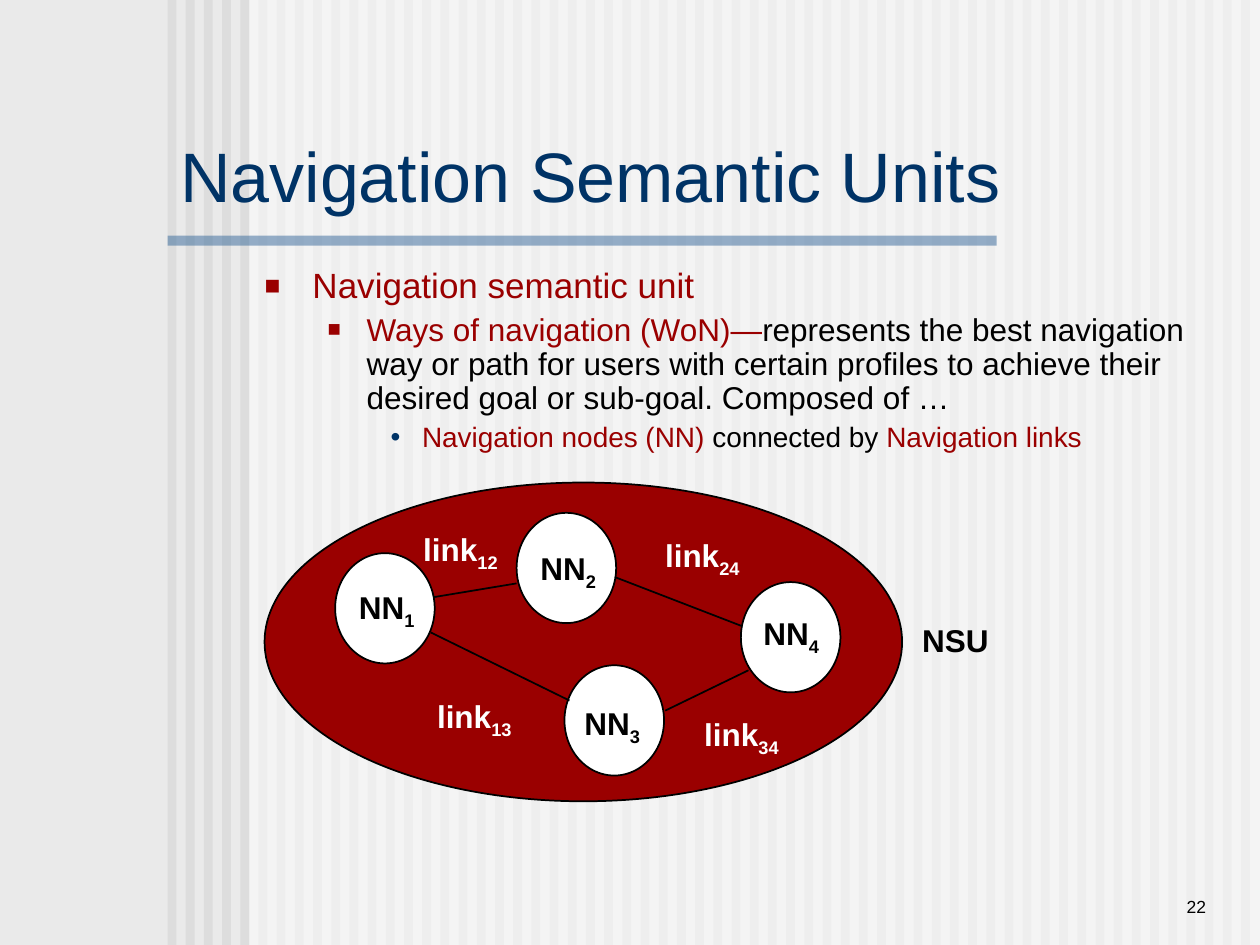
from lxml.etree import SubElement
from pptx import Presentation
from pptx.dml.color import RGBColor
from pptx.enum.shapes import MSO_CONNECTOR, MSO_SHAPE
from pptx.enum.text import MSO_ANCHOR, MSO_AUTO_SIZE, PP_ALIGN
from pptx.oxml.ns import qn
from pptx.util import Inches, Pt

COLUMNS, ROWS = 100, 75
CELL = Inches(0.1)
FONT = "Arial"

BLACK = RGBColor(0x00, 0x00, 0x00)
WHITE = RGBColor(0xFF, 0xFF, 0xFF)
PAPER = RGBColor(0xEA, 0xEA, 0xEA)
STRIPE = RGBColor(0xDD, 0xDD, 0xDD)
NAVY = RGBColor(0x00, 0x33, 0x66)
BLUE = RGBColor(0x33, 0x66, 0x99)
RED = RGBColor(0x9A, 0x00, 0x00)

STRIPE_COUNT, STRIPE_START, STRIPE_END, STRIPE_WIDTH = 60, 13.3, 98.5, 0.7
NODE_SIZE = (7.9, 8.75)

NODES = [
    ("1", (26.6, 43.9), (27.5, 46.2)),
    ("2", (41, 40.7), (41.9, 43.1)),
    ("3", (44.8, 52.8), (45.4, 55.4)),
    ("4", (58.8, 46.2), (59.6, 48.3)),
]
LINKS = [
    ("12", (34.4, 47.4), (41, 46.3), (32.6, 41.6)),
    ("13", (34.2, 50.2), (45.2, 55.6), (33.7, 54.9)),
    ("24", (48.8, 45.8), (58.9, 49.7), (51.8, 42.1)),
    ("34", (52.8, 56.4), (59.4, 53.2), (54.9, 56.3)),
]
LEVELS = [
    {"size": 20, "before": 5, "margin": 0.38, "hang": 0.38, "bullet": "■", "color": RED, "scale": 75},
    {"size": 18, "before": 4.5, "margin": 0.81, "hang": 0.31, "bullet": "■", "color": RED, "scale": 70},
    {"size": 16, "before": 4, "margin": 1.25, "hang": 0.25, "bullet": "•", "color": NAVY, "scale": 100},
]
OUTLINE = [
    [("Navigation semantic unit", RED)],
    [
        ("Ways of navigation (WoN)—", RED),
        ("represents the best navigation way or path for users with certain profiles "
         "to achieve their desired goal or sub-goal. Composed of …", BLACK),
    ],
    [("Navigation nodes (NN)", RED), (" connected by ", BLACK), ("Navigation links", RED)],
]


def cells(*counts):
    return [round(CELL * count) for count in counts]


def add_run(paragraph, text, size, color, bold=False, subscript=False):
    run = paragraph.add_run()
    run.text = text
    run.font.name = FONT
    run.font.size = Pt(size)
    run.font.bold = bold
    run.font.color.rgb = color
    if subscript:
        run.font._element.set("baseline", "-25000")


def add_block(slide, kind, area, fill, outlined=False, opacity=100):
    shape = slide.shapes.add_shape(kind, *cells(*area))
    shape.shadow.inherit = False
    shape.fill.solid()
    shape.fill.fore_color.rgb = fill
    if outlined:
        shape.line.color.rgb = BLACK
        shape.line.width = Pt(1)
    else:
        shape.line.fill.background()
    if opacity < 100:
        color = shape.element.spPr.find(qn("a:solidFill"))[0]
        SubElement(color, qn("a:alpha"), val=str(opacity * 1000))


def add_link(slide, start, end):
    connector = slide.shapes.add_connector(MSO_CONNECTOR.STRAIGHT, *cells(*start, *end))
    connector.line.color.rgb = BLACK
    connector.line.width = Pt(1)
    SubElement(connector.element.spPr, qn("a:effectLst"))


def add_label(slide, position, size, text, color, index=""):
    frame = slide.shapes.add_textbox(*cells(*position, *size)).text_frame
    frame.word_wrap = False
    frame.auto_size = MSO_AUTO_SIZE.SHAPE_TO_FIT_TEXT
    paragraph = frame.paragraphs[0]
    paragraph.line_spacing = 0.9
    add_run(paragraph, text, 18, color, bold=True)
    if index:
        add_run(paragraph, index, 18, color, bold=True, subscript=True)


def place(shape, area):
    shape.left, shape.top, shape.width, shape.height = cells(*area)
    shape.text_frame.auto_size = MSO_AUTO_SIZE.NONE
    shape.text_frame.word_wrap = True
    shape.element.getparent().append(shape.element)


def add_bullet(paragraph, style):
    properties = paragraph._p.get_or_add_pPr()
    properties.set("marL", str(Inches(style["margin"])))
    properties.set("indent", str(-Inches(style["hang"])))
    color = SubElement(properties, qn("a:buClr"))
    SubElement(color, qn("a:srgbClr"), val=str(style["color"]))
    SubElement(properties, qn("a:buSzPct"), val=str(style["scale"] * 1000))
    SubElement(properties, qn("a:buFont"), typeface=FONT)
    SubElement(properties, qn("a:buChar"), char=style["bullet"])


def add_backdrop(slide):
    slide.background.fill.solid()
    slide.background.fill.fore_color.rgb = PAPER
    pitch = (STRIPE_END - STRIPE_START) / (STRIPE_COUNT - 1)
    for number in range(STRIPE_COUNT):
        left = STRIPE_START + number * pitch
        add_block(slide, MSO_SHAPE.RECTANGLE, (left, 0, STRIPE_WIDTH, ROWS), STRIPE)
    add_block(slide, MSO_SHAPE.RECTANGLE, (19.8, 0, COLUMNS - 19.8, ROWS), WHITE, opacity=50)
    add_block(slide, MSO_SHAPE.RECTANGLE, (STRIPE_START, 18.7, 65.8, 0.8), BLUE, opacity=50)


def fill_title(slide):
    title = slide.shapes.title
    place(title, (STRIPE_START, 10.8, 73.3, 6.9))
    title.text_frame.vertical_anchor = MSO_ANCHOR.BOTTOM
    paragraph = title.text_frame.paragraphs[0]
    paragraph.alignment = PP_ALIGN.LEFT
    add_run(paragraph, "Navigation Semantic Units", 40, NAVY)


def fill_outline(slide):
    body = slide.placeholders[1]
    place(body, (20, 20.8, 75.8, 20))
    frame = body.text_frame
    for level, (runs, style) in enumerate(zip(OUTLINE, LEVELS)):
        paragraph = frame.add_paragraph() if level else frame.paragraphs[0]
        paragraph.level = level
        paragraph.line_spacing = 0.9
        paragraph.space_before = Pt(style["before"])
        add_bullet(paragraph, style)
        for text, color in runs:
            add_run(paragraph, text, style["size"], color)


def add_unit_diagram(slide):
    add_block(slide, MSO_SHAPE.OVAL, (21, 38.3, 50.6, 25.3), RED, outlined=True)
    for index, position, label_position in NODES:
        add_block(slide, MSO_SHAPE.OVAL, (*position, *NODE_SIZE), WHITE, outlined=True)
        add_label(slide, label_position, (6.4, 4.1), "NN", BLACK, index)
    for index, start, end, label_position in LINKS:
        add_link(slide, start, end)
        add_label(slide, label_position, (7.9, 4.1), "link", WHITE, index)
    add_label(slide, (72.2, 49.1), (7.3, 3.7), "NSU", BLACK)


def add_page_number(slide):
    frame = slide.shapes.add_textbox(*cells(82.5, 68.3, 14.2, 5)).text_frame
    frame.word_wrap = True
    frame.vertical_anchor = MSO_ANCHOR.BOTTOM
    frame.paragraphs[0].alignment = PP_ALIGN.RIGHT
    add_run(frame.paragraphs[0], "22", 10, BLACK)


def main():
    presentation = Presentation()
    presentation.slide_width, presentation.slide_height = cells(COLUMNS, ROWS)
    slide = presentation.slides.add_slide(presentation.slide_layouts[1])
    add_backdrop(slide)
    fill_title(slide)
    fill_outline(slide)
    add_unit_diagram(slide)
    add_page_number(slide)
    presentation.save("out.pptx")


if __name__ == "__main__":
    main()
